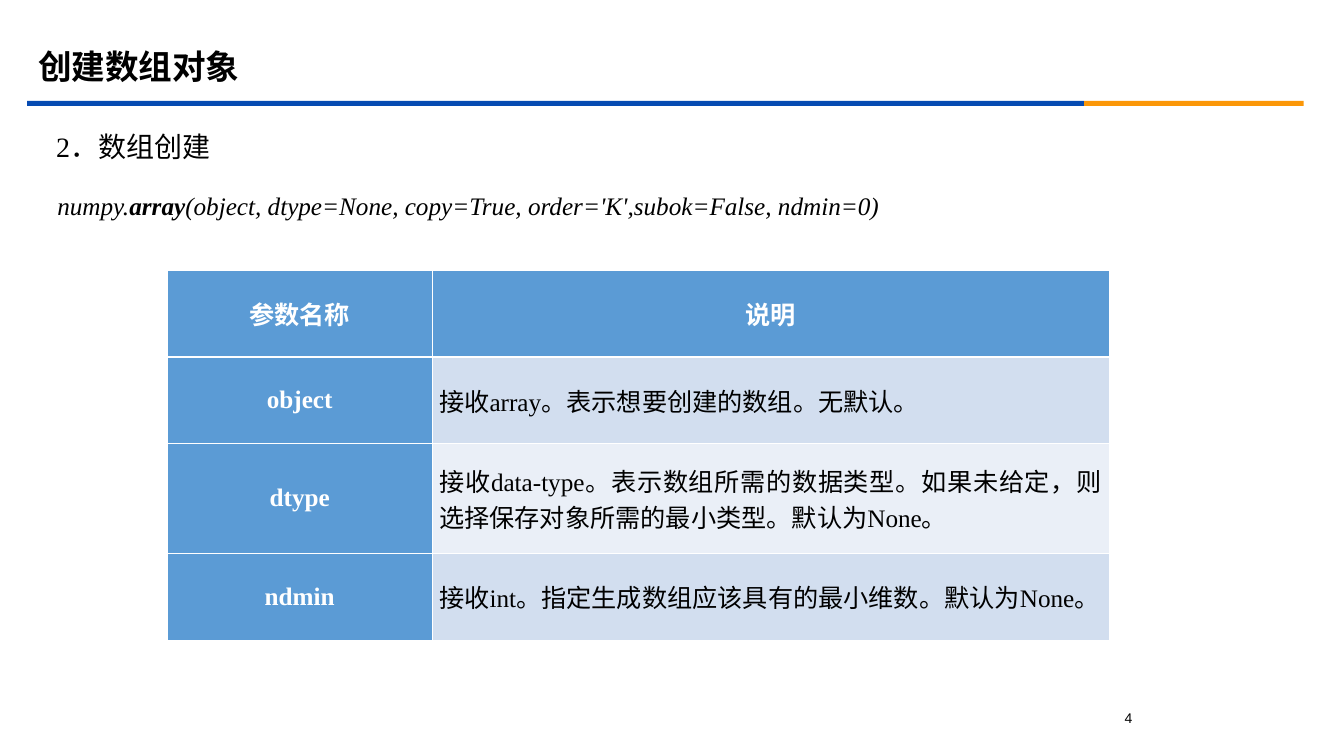
from lxml import etree
from pptx import Presentation
from pptx.dml.color import RGBColor
from pptx.enum.shapes import MSO_SHAPE
from pptx.enum.text import MSO_ANCHOR, PP_ALIGN
from pptx.oxml.ns import qn
from pptx.util import Inches, Pt

RECTANGLE = MSO_SHAPE.RECTANGLE
MIDDLE, TOP = MSO_ANCHOR.MIDDLE, MSO_ANCHOR.TOP
LEFT, CENTER, JUSTIFY = PP_ALIGN.LEFT, PP_ALIGN.CENTER, PP_ALIGN.JUSTIFY

BLACK = RGBColor(0x00, 0x00, 0x00)
WHITE = RGBColor(0xFF, 0xFF, 0xFF)
RULE_BLUE = RGBColor(0x06, 0x4B, 0xB2)
RULE_ORANGE = RGBColor(0xFB, 0x97, 0x08)
HEADER_BLUE = RGBColor(0x5B, 0x9B, 0xD5)
BANDS = (RGBColor(0xD2, 0xDE, 0xEF), RGBColor(0xEA, 0xEF, 0xF7))

SERIF, SANS = "Times New Roman", "Arial"
THIN, THICK = 0.45, 1.47

COLUMN_WIDTHS = (2.63, 6.72)
ROW_HEIGHTS = (0.86, 0.86, 1.09, 0.86)
PARAMETERS = (
    ("参数名称", "说明"),
    ("object", "接收array。表示想要创建的数组。无默认。"),
    ("dtype", "接收data-type。表示数组所需的数据类型。如果未给定，则选择保存对象所需的最小类型。默认为None。"),
    ("ndmin", "接收int。指定生成数组应该具有的最小维数。默认为None。"),
)


def set_font(paragraph, size, color=BLACK, bold=False, italic=False, name=SERIF):
    font = paragraph.font
    font.name, font.size, font.italic = name, Pt(size), italic
    font.bold = bold
    font.color.rgb = color


def add_text(slide, box, runs, size, anchor=TOP, align=LEFT, spacing=1.0, **style):
    """Add a one-paragraph text box; runs are (text, bold) pairs."""
    frame = slide.shapes.add_textbox(*map(Inches, box)).text_frame
    frame.word_wrap = True
    frame.vertical_anchor = anchor
    paragraph = frame.paragraphs[0]
    paragraph.alignment = align
    paragraph.line_spacing = spacing
    set_font(paragraph, size, **style)
    for text, bold in runs:
        run = paragraph.add_run()
        run.text = text
        if bold:
            run.font.bold = True


def add_rule(slide, left, width, color):
    rule = slide.shapes.add_shape(
        RECTANGLE, Inches(left), Inches(1), Inches(width), Inches(0.05))
    rule.shadow.inherit = False
    rule.fill.solid()
    rule.fill.fore_color.rgb = color
    rule.line.fill.background()


def set_borders(cell, top, bottom):
    properties = cell._tc.get_or_add_tcPr()
    for side, width in (("L", THIN), ("R", THIN), ("T", top), ("B", bottom)):
        line = etree.SubElement(properties, qn(f"a:ln{side}"), w=str(Pt(width)))
        fill = etree.SubElement(line, qn("a:solidFill"))
        etree.SubElement(fill, qn("a:srgbClr"), val=str(WHITE))


def fill_cell(cell, text, row, column):
    is_header = row == 0 or column == 0
    set_borders(cell, THICK if row == 1 else THIN, THICK if row == 0 else THIN)
    cell.fill.solid()
    cell.fill.fore_color.rgb = HEADER_BLUE if is_header else BANDS[(row - 1) % 2]
    cell.vertical_anchor = MIDDLE
    cell.margin_left = cell.margin_right = Inches(0.07)
    cell.margin_top = cell.margin_bottom = Inches(0.05)
    cell.text = text
    paragraph = cell.text_frame.paragraphs[0]
    paragraph.alignment = CENTER if is_header else JUSTIFY
    set_font(paragraph, 18, WHITE if is_header else BLACK, bold=is_header)


def add_parameter_table(slide):
    table = slide.shapes.add_table(
        len(ROW_HEIGHTS), len(COLUMN_WIDTHS), Inches(1.66), Inches(2.68),
        Inches(sum(COLUMN_WIDTHS)), Inches(sum(ROW_HEIGHTS))).table
    for column, width in zip(table.columns, COLUMN_WIDTHS):
        column.width = Inches(width)
    for row, height in zip(table.rows, ROW_HEIGHTS):
        row.height = Inches(height)
    for r, texts in enumerate(PARAMETERS):
        for c, text in enumerate(texts):
            fill_cell(table.cell(r, c), text, r, c)


def main():
    deck = Presentation()
    deck.slide_width, deck.slide_height = Inches(13.34), Inches(7.5)
    slide = deck.slides.add_slide(deck.slide_layouts[6])

    # Page number and two-colour rule
    add_text(slide, (10.89, 6.99, 0.62, 0.25), [("4", False)], 10,
             align=CENTER, name=SANS)
    add_rule(slide, 0.27, 10.49, RULE_BLUE)
    add_rule(slide, 10.76, 2.18, RULE_ORANGE)

    # Parameter table
    add_parameter_table(slide)

    # Title, section heading and function signature
    add_text(slide, (0.28, 0.39, 12, 0.58), [("创建数组对象", False)], 24,
             anchor=MIDDLE, spacing=0.9, bold=True)
    add_text(slide, (0.46, 1.24, 12.15, 0.47), [("2．数组创建", False)], 20,
             anchor=MIDDLE, spacing=0.9)
    signature = [
        ("numpy.", False),
        ("array", True),
        ("(object, dtype=None, copy=True, order='K',subok=False, ndmin=0)", False),
    ]
    add_text(slide, (0.47, 1.84, 10.22, 0.4), signature, 18, italic=True)

    deck.save("out.pptx")


if __name__ == "__main__":
    main()
